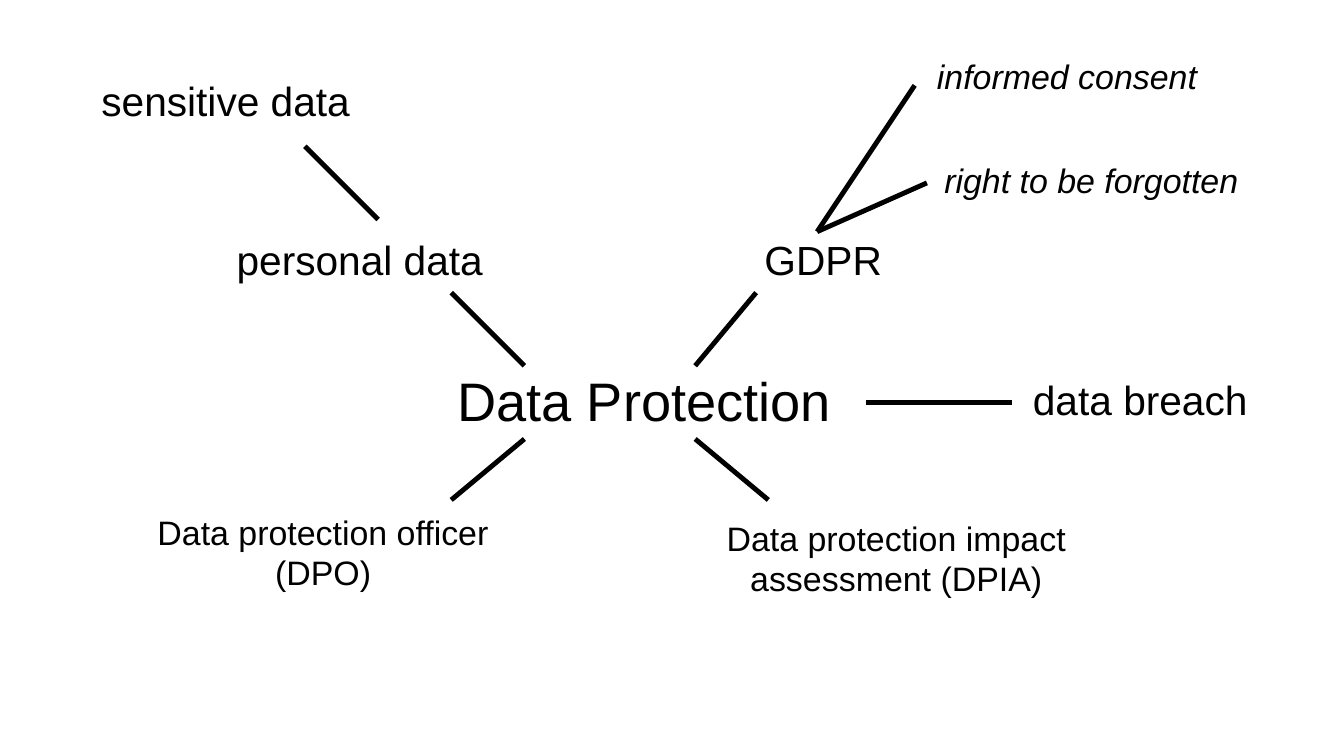
from lxml.etree import SubElement
from pptx import Presentation
from pptx.dml.color import RGBColor
from pptx.enum.shapes import MSO_CONNECTOR
from pptx.enum.text import MSO_ANCHOR, MSO_AUTO_SIZE, PP_ALIGN
from pptx.oxml.ns import qn
from pptx.util import Pt

INK = "000000"
LABEL_HEIGHT = 68.4
FRAME_FORMAT = {
    "word_wrap": True,
    "auto_size": MSO_AUTO_SIZE.NONE,
    "vertical_anchor": MSO_ANCHOR.MIDDLE,
    "margin_left": 0,
    "margin_right": 0,
    "margin_top": 0,
    "margin_bottom": 0,
}
TOPIC = {"size": Pt(24), "italic": False}
DETAIL = {"size": Pt(20), "italic": False}
RIGHT = {"size": Pt(20), "italic": True}

LABELS = [
    ("personal data", 115.2, 118.8, 194.4, TOPIC),
    ("GDPR", 388.8, 118.8, 194.4, TOPIC),
    ("sensitive data", 36, 25.2, 194.4, TOPIC),
    ("data breach", 576, 201.6, 194.4, TOPIC),
    ("informed consent", 532.8, 10.8, 194.4, RIGHT),
    ("right to be forgotten", 525.6, 72, 237.6, RIGHT),
    ("Data protection impact assessment (DPIA)", 417.6, 295.2, 223.2, DETAIL),
    ("Data protection officer (DPO)", 79.2, 291.6, 223.2, DETAIL),
]
BRANCHES = [
    (482.4, 136.8, 547.2, 108),
    (482.4, 136.8, 540, 50.4),
    (453.6, 295.2, 410.4, 259.2),
    (446.4, 172.8, 410.4, 216),
    (266.4, 172.8, 309.6, 216),
    (511.2, 237.6, 597.6, 237.6),
    (180, 86.4, 223.2, 129.6),
    (309.6, 259.2, 266.4, 295.2),
]


def color(hex_value):
    """Return the colour for a hex string."""
    return RGBColor.from_string(hex_value)


def apply_format(target, values):
    """Set each named attribute of the target."""
    for name, value in values.items():
        setattr(target, name, value)


def write_text(shape, text, font_format):
    """Fill a shape with one centred paragraph."""
    apply_format(shape.text_frame, FRAME_FORMAT)
    paragraph = shape.text_frame.paragraphs[0]
    paragraph.text = text
    paragraph.alignment = PP_ALIGN.CENTER
    apply_format(paragraph.font, {"name": "Arial", **font_format})
    paragraph.font.color.rgb = color(INK)


def place_title(slide, text):
    """Move the title placeholder to the centre of the map."""
    title = slide.shapes.title
    box = {"left": 208.8, "top": 201.6, "width": 343.44, "height": LABEL_HEIGHT}
    apply_format(title, {name: Pt(value) for name, value in box.items()})
    write_text(title, text, {"size": Pt(32)})


def add_label(slide, text, left, top, width, font_format):
    """Add a label of the map."""
    shape = slide.shapes.add_textbox(Pt(left), Pt(top), Pt(width), Pt(LABEL_HEIGHT))
    write_text(shape, text, font_format)


def add_branch(slide, *ends):
    """Add a straight line between two labels."""
    connector = slide.shapes.add_connector(MSO_CONNECTOR.STRAIGHT, *map(Pt, ends))
    connector.line.width = Pt(2.89)
    connector.line.color.rgb = color(INK)
    SubElement(connector._element.spPr, qn("a:effectLst"))


def main():
    """Build the mind map and save it."""
    presentation = Presentation()
    presentation.slide_width = Pt(793.44)
    presentation.slide_height = Pt(446.4)
    slide = presentation.slides.add_slide(presentation.slide_layouts[5])
    place_title(slide, "Data Protection")
    for label in LABELS:
        add_label(slide, *label)
    for branch in BRANCHES:
        add_branch(slide, *branch)
    presentation.save("out.pptx")


if __name__ == "__main__":
    main()
